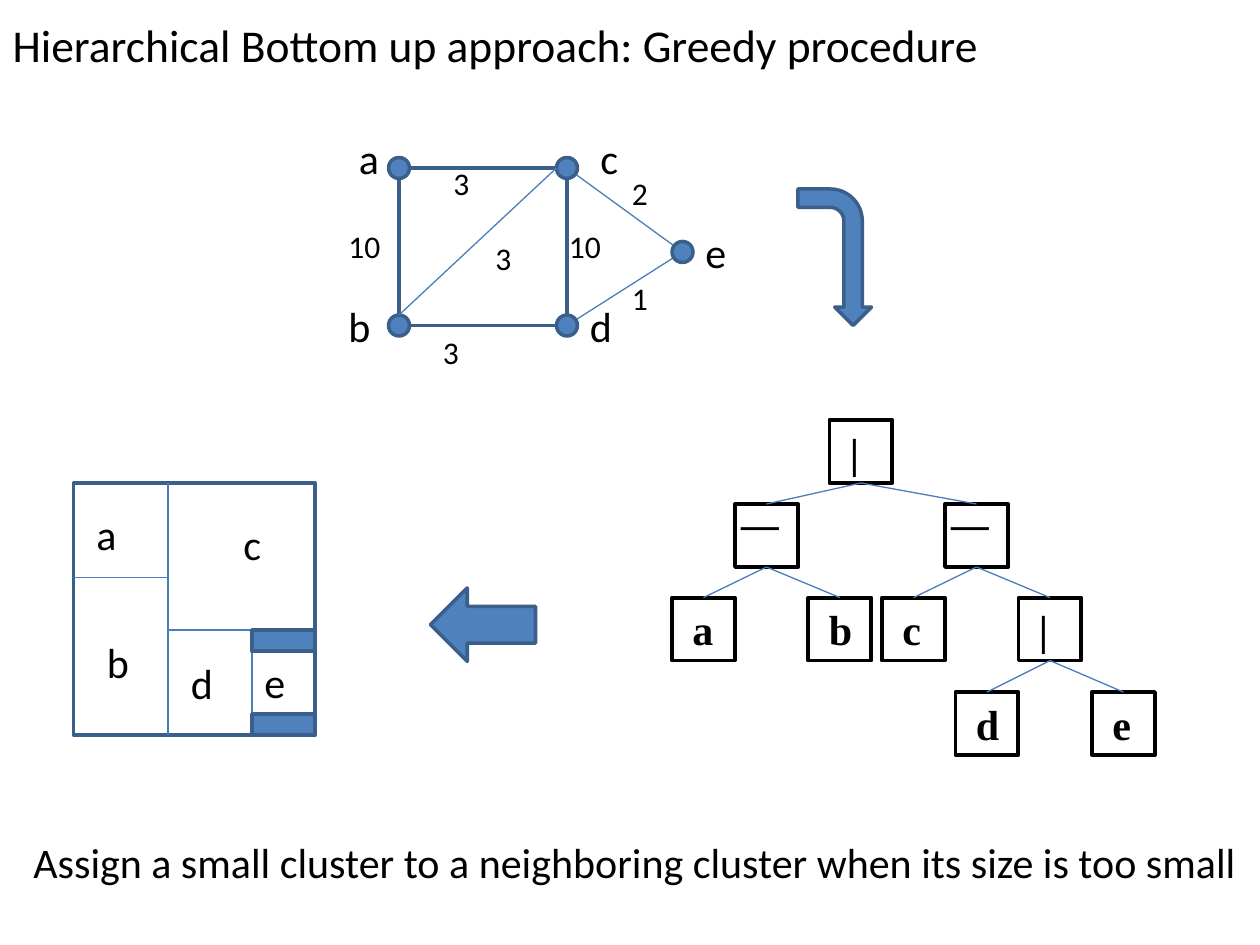
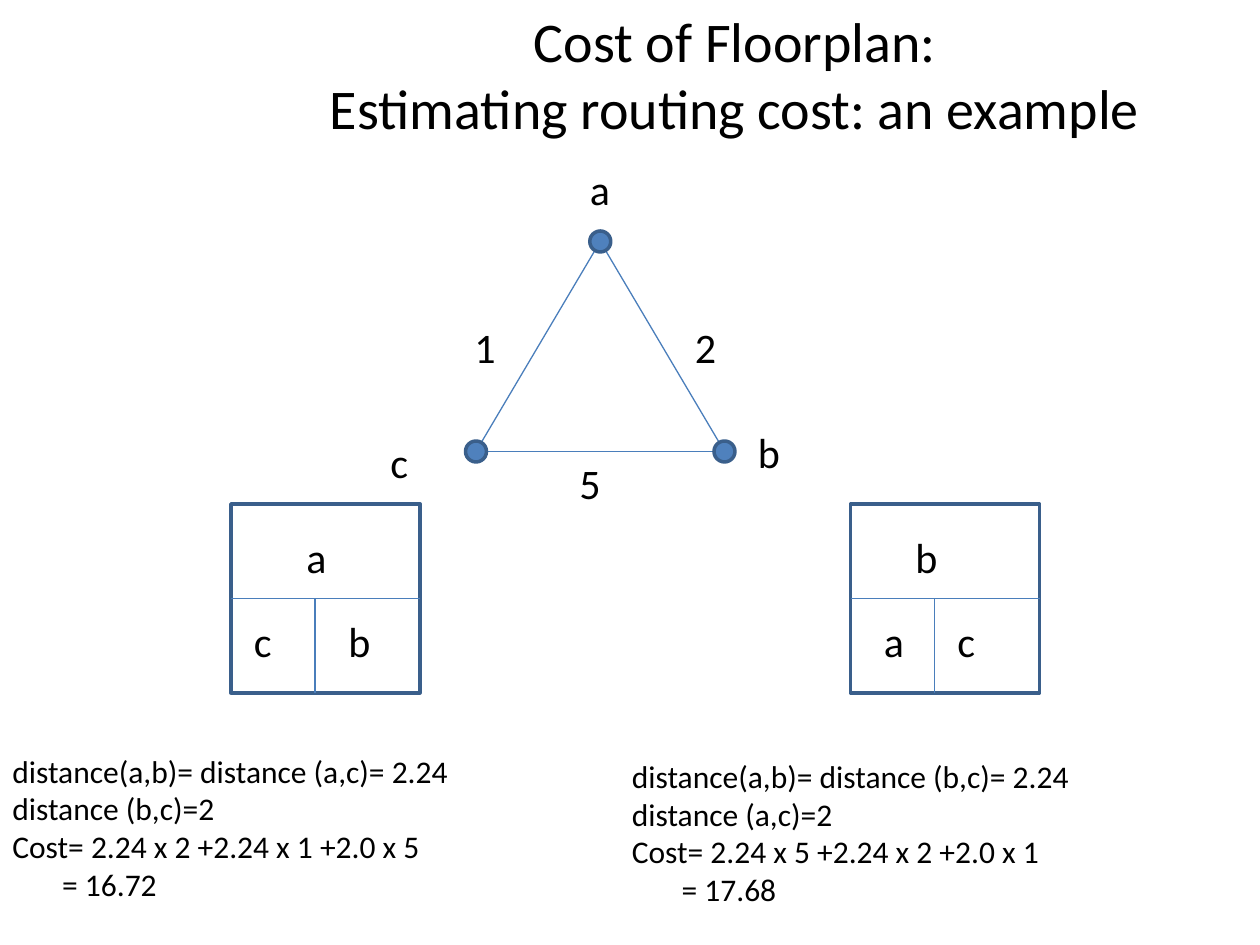
from pptx import Presentation
from pptx.dml.color import RGBColor
from pptx.enum.shapes import MSO_CONNECTOR, MSO_SHAPE as SHAPE
from pptx.enum.text import MSO_ANCHOR as ANCHOR, PP_ALIGN as ALIGN
from pptx.util import Pt
from lxml.etree import SubElement
from pptx.oxml.ns import qn

BLUE, OUTLINE, EDGE, BLACK = "4F81BD", "3A5F8B", "4A7EBB", "000000"
SANS, SERIF = "Calibri", "Times New Roman"
TOP, LEFT, BOTTOM, RIGHT = range(4)  # connection sites of a rectangle
NODE = 12
TREE_BOX = 36

# Slide 1: clustering graph, slicing tree and floorplan
GREEDY_TITLE = ["Hierarchical Bottom up approach: Greedy procedure"]
CAPTION = "Assign a small cluster to a neighboring cluster when its size is too small"

CLUSTER_NODES = {"a": (228, 96), "c": (324, 96), "b": (228, 186),
                 "d": (324, 186), "e": (390, 144)}
CLUSTER_EDGES = ["ce", "ed"]
CLUSTER_LABELS = [("a", 198, 72), ("c", 336, 72), ("b", 192, 168),
                  ("d", 330, 168), ("e", 396, 126)]
CLUSTER_WEIGHTS = [("10", 192, 126), ("3", 276, 133), ("10", 318, 126),
                   ("3", 252, 90), ("3", 246, 187), ("2", 354, 96),
                   ("1", 354, 156)]

FLOORPLAN = (42, 276, 138, 144)
FLOORPLAN_CUTS = [((96, 276), (96, 420)), ((96, 360), (180, 360)),
                  ((144, 360), (144, 420)), ((42, 330), (96, 330))]
EMPTY_SLOTS = [(144, 360, 36, 12), (144, 408, 36, 12)]
FLOORPLAN_LABELS = [("a", 48, 287), ("c", 132, 293), ("b", 54, 360),
                    ("d", 102, 372), ("e", 144, 371.5)]

TREE_LEVELS = [240, 288, 341.5, 395.5]
# name: (text, left, level, quarter-turned, parent)
SLICING_TREE = {
    "root": ("|", 474, 0, False, None),
    "ab": ("|", 420, 1, True, "root"),
    "cde": ("|", 540, 1, True, "root"),
    "a": ("a", 384, 2, False, "ab"),
    "b": ("b", 462, 2, False, "ab"),
    "c": ("c", 504, 2, False, "cde"),
    "de": ("|", 582, 2, False, "cde"),
    "d": ("d", 546, 3, False, "de"),
    "e": ("e", 624, 3, False, "de"),
}

# Slide 2: routing cost of two floorplans
COST_TITLE = ["Cost of Floorplan:", "Estimating routing cost: an example"]
NET_NODES = {"a": (343, 138), "b": (414, 258), "c": (272, 258)}
NET_EDGES = ["ab", "ac", "bc"]
NET_LABELS = [("a", 330, 90), ("c", 216, 246), ("b", 426, 240)]
NET_WEIGHTS = [("1", 264, 180), ("2", 390, 180), ("5", 324, 258)]
PLAN_TOP, PLAN_SIDE, PLAN_CUT = 288, 108, 48
PLANS = [
    {"left": 132,
     "rooms": [("a", 36, 12), ("c", 6, 60), ("b", 60, 60)],
     "cost_at": (0, 426, 340, 94),
     "cost": ["distance(a,b)= distance (a,c)= 2.24", "distance (b,c)=2",
              "Cost= 2.24 x 2 +2.24 x 1 +2.0 x 5", "= 16.72"]},
    {"left": 486,
     "rooms": [("b", 30, 12), ("a", 12, 60), ("c", 54, 60)],
     "cost_at": (354, 429, 366, 94),
     "cost": ["distance(a,b)= distance (b,c)= 2.24", "distance (a,c)=2",
              "Cost= 2.24 x 5 +2.24 x 2 +2.0 x 1", "= 17.68"]},
]


def rgb(color):
    return RGBColor.from_string(color)


def points(values):
    return [Pt(value) for value in values]


def write(frame, lines, size, font=SANS, bold=False, align=ALIGN.LEFT):
    frame.word_wrap = True
    frame.vertical_anchor = ANCHOR.TOP
    frame.text = "\n".join(lines)
    for paragraph in frame.paragraphs:
        paragraph.alignment = align
        paragraph.font.name = font
        paragraph.font.size = Pt(size)
        paragraph.font.bold = bold
        paragraph.font.color.rgb = rgb(BLACK)


def add_title_slide(deck, lines, box, size, align):
    slide = deck.slides.add_slide(deck.slide_layouts[5])
    title = slide.shapes.title
    title.left, title.top, title.width, title.height = points(box)
    write(title.text_frame, lines, size, align=align)
    return slide


def add_text(slide, lines, box, size):
    frame = slide.shapes.add_textbox(*points(box)).text_frame
    write(frame, lines, size)
    return frame


def add_labels(slide, labels, width, height=36, size=24, origin=(0, 0)):
    for text, left, top in labels:
        box = (origin[0] + left, origin[1] + top, width, height)
        add_text(slide, [text], box, size)


def add_figure(slide, kind, box, fill=None, line=OUTLINE, weight=2):
    figure = slide.shapes.add_shape(kind, *points(box))
    figure.shadow.inherit = False
    if fill:
        figure.fill.solid()
        figure.fill.fore_color.rgb = rgb(fill)
    else:
        figure.fill.background()
    figure.line.color.rgb = rgb(line)
    figure.line.width = Pt(weight)
    return figure


def add_line(slide, start, end):
    line = slide.shapes.add_connector(
        MSO_CONNECTOR.STRAIGHT, *points((*start, *end)))
    line.line.color.rgb = rgb(EDGE)
    line.line.width = Pt(0.75)
    SubElement(line._element.spPr, qn("a:effectLst"))
    return line


def add_graph(slide, nodes, edges):
    for start, end in edges:
        add_line(slide, nodes[start], nodes[end])
    for x, y in nodes.values():
        add_figure(slide, SHAPE.OVAL,
                   (x - NODE / 2, y - NODE / 2, NODE, NODE), BLUE)


def add_tree_box(slide, text, left, top, turned):
    box = add_figure(slide, SHAPE.RECTANGLE, (left, top, TREE_BOX, TREE_BOX),
                     line=BLACK, weight=2.25)
    box.rotation = 90 if turned else 0
    write(box.text_frame, [text], 24, SERIF, bold=True)
    box.text_frame.margin_left = Pt(11.7)
    box.text_frame.margin_right = 0
    return box


def add_branch(slide, parent, child):
    """Join bottom to top; a quarter turn moves those sites to right and left."""
    start = (parent.left + parent.width // 2, parent.top + parent.height)
    end = (child.left + child.width // 2, child.top)
    branch = add_line(slide, (0, 0), (0, 0))
    branch.begin_connect(parent, RIGHT if parent.rotation else BOTTOM)
    branch.end_connect(child, LEFT if child.rotation else TOP)
    branch.begin_x, branch.begin_y = start
    branch.end_x, branch.end_y = end


def add_slicing_tree(slide):
    boxes = {}
    for name, (text, left, level, turned, parent) in SLICING_TREE.items():
        boxes[name] = add_tree_box(slide, text, left, TREE_LEVELS[level], turned)
        if parent:
            add_branch(slide, boxes[parent], boxes[name])


def build_greedy_slide(deck):
    slide = add_title_slide(deck, GREEDY_TITLE, (0, 6, 708, 38), 26, ALIGN.LEFT)

    (left, top), (right, bottom) = CLUSTER_NODES["a"], CLUSTER_NODES["d"]
    add_figure(slide, SHAPE.RECTANGLE, (left, top, right - left, bottom - top))
    add_graph(slide, CLUSTER_NODES, CLUSTER_EDGES)
    add_line(slide, (left, bottom - NODE / 2), (right - NODE / 2, top))
    add_labels(slide, CLUSTER_LABELS, 36)
    add_labels(slide, CLUSTER_WEIGHTS, 42, 29, 18)

    add_figure(slide, SHAPE.RECTANGLE, FLOORPLAN)
    for start, end in FLOORPLAN_CUTS:
        add_line(slide, start, end)
    for slot in EMPTY_SLOTS:
        add_figure(slide, SHAPE.RECTANGLE, slot, BLUE)
    add_labels(slide, FLOORPLAN_LABELS, 36)

    add_slicing_tree(slide)
    add_figure(slide, SHAPE.LEFT_ARROW, (246, 336, 60, 42), BLUE)
    to_tree = add_figure(slide, SHAPE.BENT_ARROW, (438, 126, 78, 42), BLUE)
    to_tree.rotation = 90
    add_text(slide, [CAPTION], (12, 474.5, 708, 65), 24)


def add_plan(slide, plan):
    left, middle = plan["left"], PLAN_TOP + PLAN_SIDE / 2
    outline = add_figure(slide, SHAPE.RECTANGLE,
                         (left, PLAN_TOP, PLAN_SIDE, PLAN_SIDE))
    row_cut = add_line(slide, (left, middle), (left + PLAN_SIDE, middle))
    row_cut.begin_connect(outline, LEFT)
    row_cut.end_connect(outline, RIGHT)
    add_line(slide, (left + PLAN_CUT, middle),
             (left + PLAN_CUT, PLAN_TOP + PLAN_SIDE))
    add_labels(slide, plan["rooms"], 48, origin=(left, PLAN_TOP))

    cost = add_text(slide, plan["cost"], plan["cost_at"], 18)
    total = cost.paragraphs[-1]
    total._p.get_or_add_pPr().set("marL", str(Pt(28.5)))


def build_cost_slide(deck):
    slide = add_title_slide(deck, COST_TITLE, (120, 0, 600, 84), 32,
                            ALIGN.CENTER)
    add_graph(slide, NET_NODES, NET_EDGES)
    add_labels(slide, NET_LABELS, 48)
    add_labels(slide, NET_WEIGHTS, 24)
    for plan in PLANS:
        add_plan(slide, plan)


def main():
    deck = Presentation()
    deck.slide_width, deck.slide_height = Pt(720), Pt(540)
    build_greedy_slide(deck)
    build_cost_slide(deck)
    deck.save("out.pptx")


if __name__ == "__main__":
    main()
